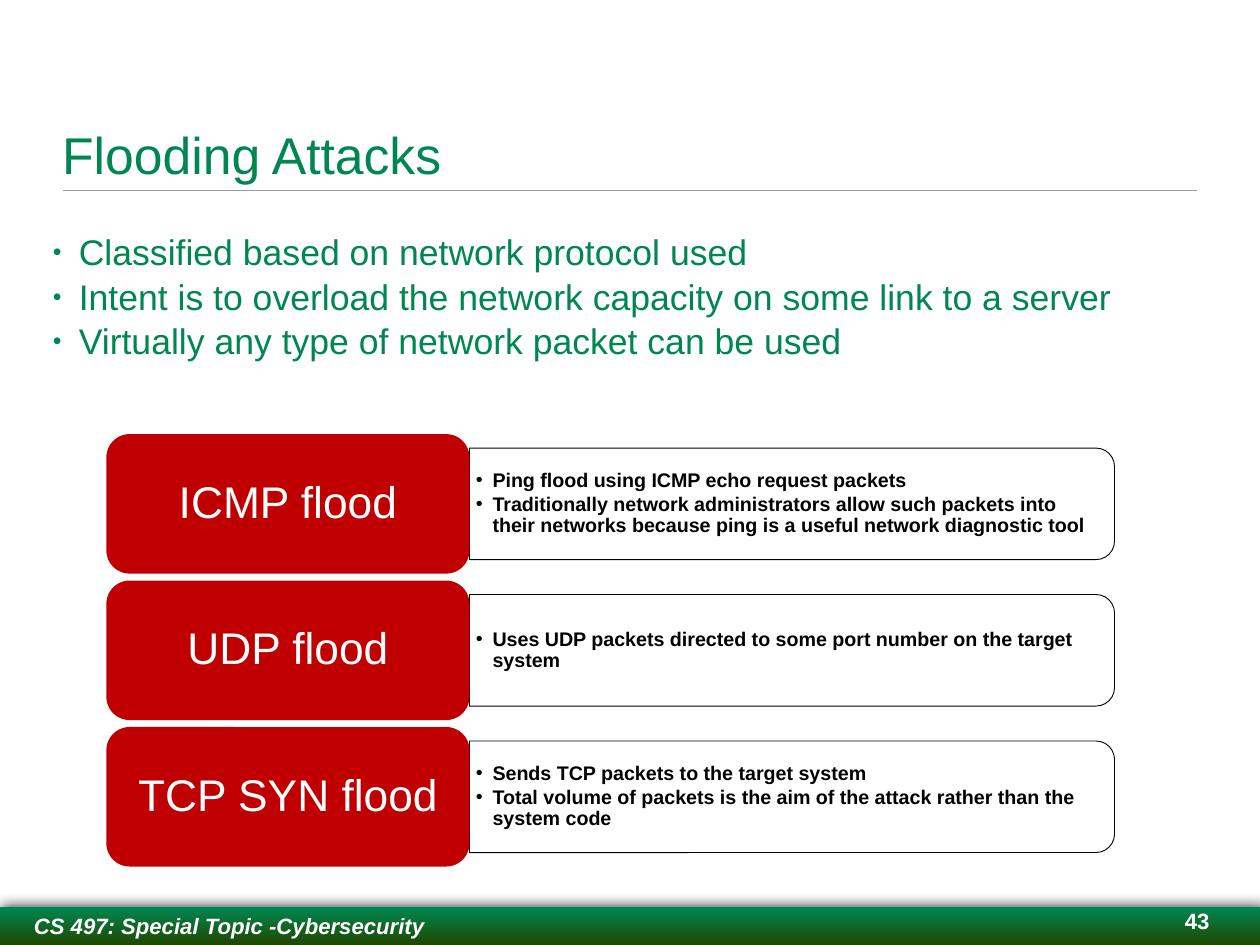
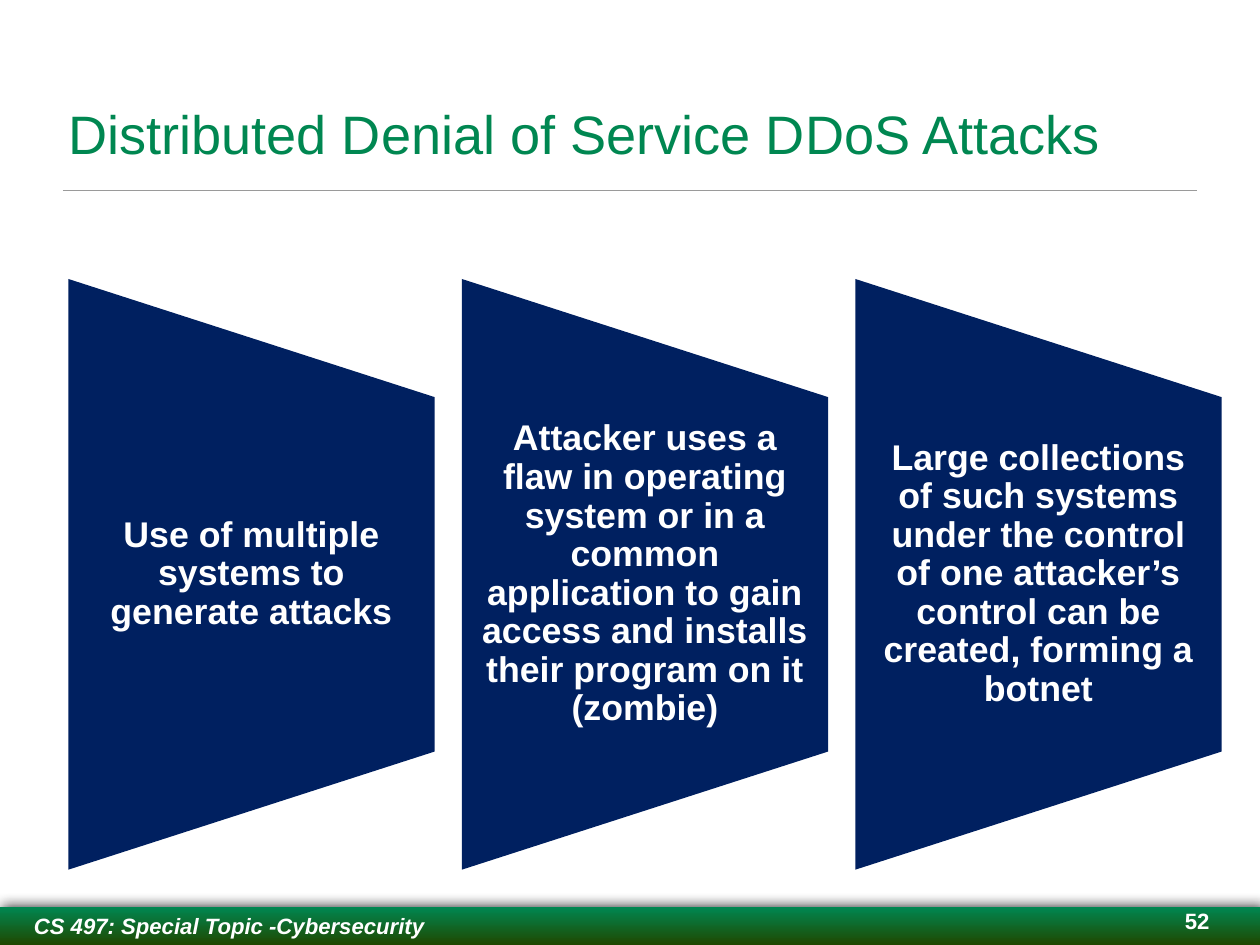
import pptx
import pptx.dml.color
import pptx.enum.shapes
import pptx.enum.text
import pptx.oxml.ns
import pptx.util
from lxml import etree

Cm = pptx.util.Cm
Pt = pptx.util.Pt
RGBColor = pptx.dml.color.RGBColor
Preset = pptx.enum.shapes.MSO_SHAPE
Align = pptx.enum.text.PP_ALIGN
Anchor = pptx.enum.text.MSO_ANCHOR
qn = pptx.oxml.ns.qn

GREEN = RGBColor(0x00, 0x87, 0x51)
DARK_GREEN = RGBColor(0x1F, 0x48, 0x00)
GREY = RGBColor(0x9A, 0x9A, 0x9A)
RED = RGBColor(0xC0, 0x00, 0x00)
NAVY = RGBColor(0x00, 0x20, 0x60)
BLACK = RGBColor(0x00, 0x00, 0x00)
WHITE = RGBColor(0xFF, 0xFF, 0xFF)

SLIDE_WIDTH, SLIDE_HEIGHT = 36.12, 27.1
BAND_TOP = 26.01
COURSE = "CS 497: Special Topic -Cybersecurity"

TITLE = {"size": Pt(44), "color": GREEN}
LIST = {"size": Pt(28.9), "color": GREEN}
FOOTER = {"size": Pt(18), "color": WHITE, "bold": True, "italic": True}
PAGE = {"size": Pt(18), "color": WHITE, "bold": True}
CARD = {"size": Pt(36), "color": WHITE}
DETAIL = {"size": Pt(16), "color": BLACK, "bold": True}
PANEL = {"size": Pt(29), "color": WHITE, "bold": True}

LIST_SPACING = {"line_spacing": 0.9, "space_before": Pt(5.2)}
DETAIL_SPACING = {"line_spacing": 0.9, "space_after": Pt(2.4)}
CENTRED = {"line_spacing": 0.9, "alignment": Align.CENTER}


def set_all(target, values):
    for name, value in values.items():
        setattr(target, name, value)


def add_bullet(paragraph, indent, percent):
    properties = paragraph._p.get_or_add_pPr()
    properties.set("marL", str(Cm(indent)))
    properties.set("indent", str(-Cm(indent)))
    size = etree.SubElement(properties, qn("a:buSzPct"))
    size.set("val", str(percent * 1000))
    etree.SubElement(properties, qn("a:buFont")).set("typeface", "Arial")
    etree.SubElement(properties, qn("a:buChar")).set("char", "•")


class Deck:
    def __init__(self):
        self.presentation = pptx.Presentation()
        self.presentation.slide_width = Cm(SLIDE_WIDTH)
        self.presentation.slide_height = Cm(SLIDE_HEIGHT)
        self.slide = None

    def fill_frame(self, frame, lines, style, spacing, anchor=Anchor.TOP,
                   inset=(0, 0), bullet=None, wrap=True):
        """Put lines into a text frame; inset is (sides, top and bottom) in cm."""
        sides, ends = (Cm(length) for length in inset)
        set_all(frame, {
            "word_wrap": wrap, "vertical_anchor": anchor,
            "auto_size": pptx.enum.text.MSO_AUTO_SIZE.NONE,
            "margin_left": sides, "margin_right": sides,
            "margin_top": ends, "margin_bottom": ends})
        for number, line in enumerate(lines):
            paragraph = frame.add_paragraph() if number else frame.paragraphs[0]
            set_all(paragraph, spacing)
            if bullet:
                add_bullet(paragraph, *bullet)
            run = paragraph.add_run()
            run.text = line
            run.font.name = "Arial"
            fonts = dict(style)
            run.font.color.rgb = fonts.pop("color")
            set_all(run.font, fonts)

    def text(self, box, lines, style, spacing, **layout):
        textbox = self.slide.shapes.add_textbox(*map(Cm, box))
        self.fill_frame(textbox.text_frame, lines, style, spacing, **layout)

    def shape(self, preset, box, fill=None, line=None, rotation=0):
        """Draw a preset; box is its visible area, also after a quarter turn."""
        left, top, width, height = box
        if rotation in (90, 270):
            shift = (width - height) / 2
            left, top, width, height = left + shift, top - shift, height, width
        shape = self.slide.shapes.add_shape(
            preset, *map(Cm, (left, top, width, height)))
        shape.rotation = rotation
        shape.shadow.inherit = False
        if fill is None:
            shape.fill.background()
        else:
            shape.fill.solid()
            shape.fill.fore_color.rgb = fill
        if line is None:
            shape.line.fill.background()
        else:
            shape.line.color.rgb = line
            shape.line.width = Pt(0.75)
        return shape

    def rule(self):
        rule = self.slide.shapes.add_connector(
            pptx.enum.shapes.MSO_CONNECTOR.STRAIGHT,
            *map(Cm, (1.8, 5.46, 34.31, 5.46)))
        rule.line.color.rgb = GREY
        rule.line.width = Pt(1)
        etree.SubElement(rule._element.spPr, qn("a:effectLst"))

    def footer(self):
        band = self.shape(Preset.RECTANGLE, (0, BAND_TOP, SLIDE_WIDTH,
                                             SLIDE_HEIGHT - BAND_TOP))
        band.fill.gradient()
        band.fill.gradient_angle = 270
        stops = zip(band.fill.gradient_stops, (0, 1), (GREEN, DARK_GREEN))
        for stop, position, color in stops:
            stop.position = position
            stop.color.rgb = color
        effects = band._element.spPr.find(qn("a:effectLst"))
        shadow = etree.SubElement(effects, qn("a:outerShdw"), {
            "blurRad": str(Pt(10)), "dist": str(Pt(2)),
            "dir": str(315 * 60000), "rotWithShape": "0"})
        black = etree.SubElement(shadow, qn("a:srgbClr"), val=str(BLACK))
        etree.SubElement(black, qn("a:alpha"), val="75000")
        self.fill_frame(band.text_frame, [COURSE], FOOTER,
                        {"alignment": Align.LEFT}, anchor=Anchor.MIDDLE)
        properties = band.text_frame.paragraphs[0]._p.get_or_add_pPr()
        properties.set("indent", str(Cm(0.97)))

    def new_slide(self, title, title_box, page, title_size=44):
        layout = self.presentation.slide_layouts[5]
        self.slide = self.presentation.slides.add_slide(layout)
        self.rule()
        self.footer()
        heading = self.slide.shapes.title
        set_all(heading, dict(zip(("left", "top", "width", "height"),
                                  map(Cm, title_box))))
        self.fill_frame(heading.text_frame, [title],
                        {**TITLE, "size": Pt(title_size)},
                        {"alignment": Align.LEFT}, anchor=Anchor.BOTTOM)
        self.text((34.01, BAND_TOP, 0.66, 0.76), [page], PAGE,
                  {"alignment": Align.RIGHT}, wrap=False)

    def bullets(self, box, lines):
        self.text(box, lines, LIST, LIST_SPACING, bullet=(0.74, 70))

    def flood_row(self, top, name, details):
        self.shape(Preset.ROUND_2_SAME_RECTANGLE, (13.46, top + 0.4, 18.49, 3.2),
                   line=BLACK, rotation=90)
        self.text((13.46, top + 0.55, 18.34, 2.9), details, DETAIL,
                  DETAIL_SPACING, anchor=Anchor.MIDDLE, inset=(0.18, 0.09),
                  bullet=(0.48, 100))
        card = self.shape(Preset.ROUNDED_RECTANGLE, (3.05, top, 10.41, 4), RED)
        self.fill_frame(card.text_frame, [name], CARD, CENTRED,
                        anchor=Anchor.MIDDLE, inset=(0.38, 0.18))

    def panel(self, left, statement):
        self.shape(Preset.FLOWCHART_MANUAL_OPERATION, (left, 8, 10.5, 16.94),
                   NAVY, rotation=270)
        self.text((left, 11.39, 10.5, 10.16), [statement], PANEL, CENTRED,
                  anchor=Anchor.MIDDLE, inset=(0.5, 0))


FLOODS = {
    "ICMP flood": [
        "Ping flood using ICMP echo request packets",
        "Traditionally network administrators allow such packets into their "
        "networks because ping is a useful network diagnostic tool"],
    "UDP flood": [
        "Uses UDP packets directed to some port number on the target system"],
    "TCP SYN flood": [
        "Sends TCP packets to the target system",
        "Total volume of packets is the aim of the attack rather than the "
        "system code"],
}

DDOS_STATEMENTS = [
    "Use of multiple systems to generate attacks",
    "Attacker uses a flaw in operating system or in a common application to "
    "gain access and installs their program on it (zombie)",
    "Large collections of such systems under the control of one attacker’s "
    "control can be created, forming a botnet",
]


def main():
    deck = Deck()

    deck.new_slide("Flooding Attacks", (1.78, 1.47, 32.51, 3.84), "43", 42)
    deck.bullets((1.52, 6.73, 33.91, 4.5), [
        "Classified based on network protocol used",
        "Intent is to overload the network capacity on some link to a server",
        "Virtually any type of network packet can be used"])
    for row, (name, details) in enumerate(FLOODS.items()):
        deck.flood_row(12.45 + 4.2 * row, name, details)

    deck.new_slide("Distributed Denial of Service DDoS Attacks",
                   (1.96, 1.85, 31.78, 2.9), "52")
    for column, statement in enumerate(DDOS_STATEMENTS):
        deck.panel(1.96 + 11.28 * column, statement)

    deck.presentation.save("out.pptx")


if __name__ == "__main__":
    main()
